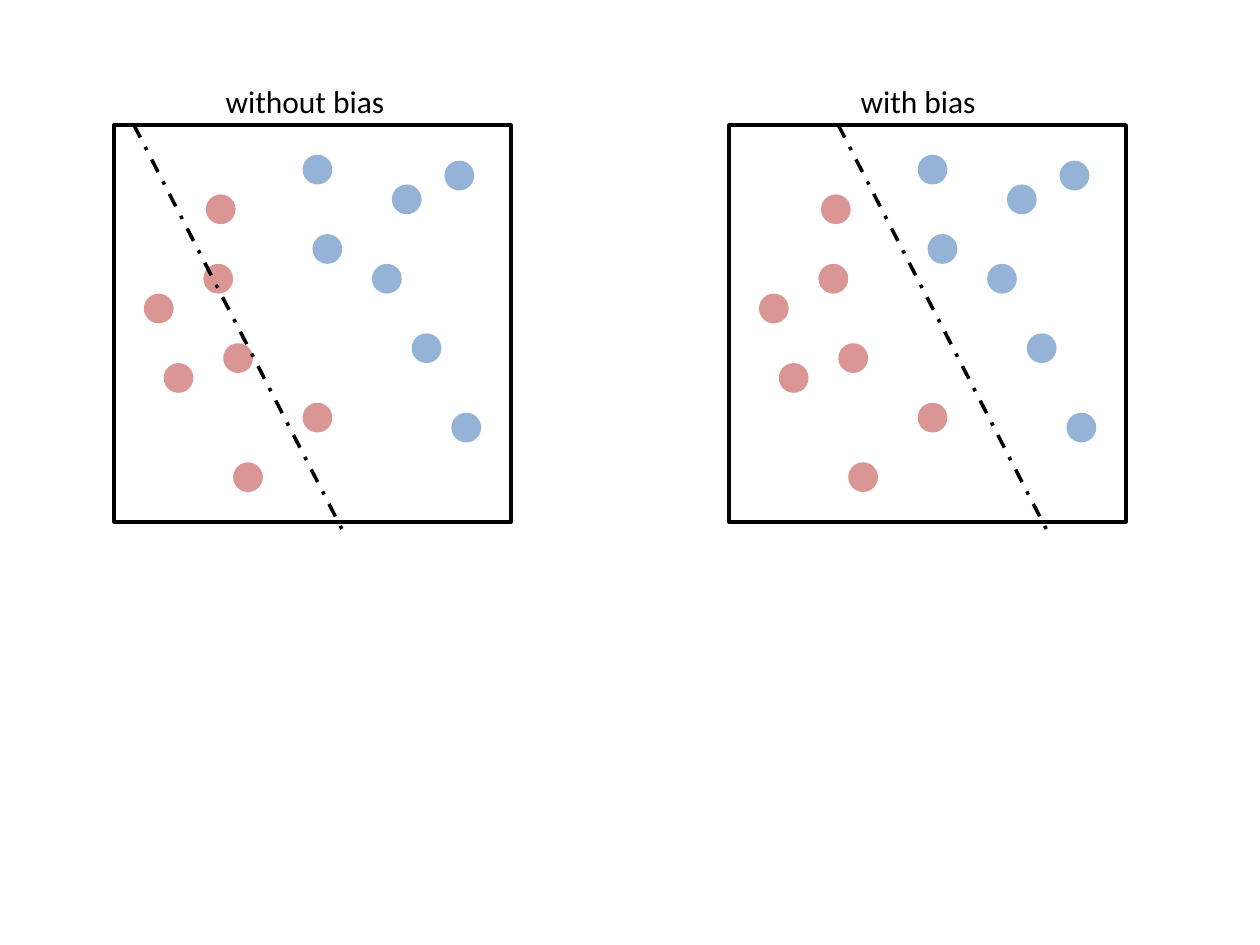
from lxml.etree import SubElement
from pptx import Presentation
from pptx.dml.color import RGBColor
from pptx.enum.dml import MSO_LINE
from pptx.enum.shapes import MSO_CONNECTOR, MSO_SHAPE
from pptx.enum.text import MSO_AUTO_SIZE
from pptx.oxml.ns import qn
from pptx.util import Cm, Pt

BLACK = RGBColor(0x00, 0x00, 0x00)
RED = RGBColor(0xD9, 0x96, 0x94)
BLUE = RGBColor(0x95, 0xB3, 0xD7)

SIDE = 8
DOT = 0.6
SAMPLES = {
    RED: [(1.8, 2.8), (3.8, 5.6), (2.2, 4.4), (0.6, 3.4),
          (2.4, 6.8), (1, 4.8), (1.85, 1.4)],
    BLUE: [(6.66, 0.72), (4, 2.2), (5.2, 2.8), (5.6, 1.2),
           (6, 4.2), (3.8, 0.6), (6.8, 5.8)],
}
CAPTION_FONT = {"name": "Calibri", "size": Pt(18)}
FRAME_LINE = {"width": Pt(2)}
BOUNDARY_LINE = {"width": Pt(2), "dash_style": MSO_LINE.DASH_DOT}


def apply_format(target, values):
    """Set each named format value on the target, and colour it black."""
    for name, value in values.items():
        setattr(target, name, value)
    target.color.rgb = BLACK


def add_frame(shapes, left, top):
    """Draw the square outline of a plot."""
    frame = shapes.add_shape(MSO_SHAPE.RECTANGLE, Cm(left), Cm(top), Cm(SIDE), Cm(SIDE))
    frame.shadow.inherit = False
    frame.fill.background()
    apply_format(frame.line, FRAME_LINE)


def add_caption(shapes, left, top, words):
    """Write the caption of a plot."""
    caption = shapes.add_textbox(Cm(left), Cm(top), Cm(4.2), Cm(1.02))
    caption.text_frame.word_wrap = True
    caption.text_frame.auto_size = MSO_AUTO_SIZE.SHAPE_TO_FIT_TEXT
    caption.text_frame.text = words
    apply_format(caption.text_frame.paragraphs[0].runs[0].font, CAPTION_FONT)


def add_samples(shapes, left, top):
    """Scatter the dots of both classes within a plot."""
    for colour, places in SAMPLES.items():
        for x, y in places:
            sample = shapes.add_shape(
                MSO_SHAPE.OVAL, Cm(left + x), Cm(top + y), Cm(DOT), Cm(DOT))
            sample.shadow.inherit = False
            sample.fill.solid()
            sample.fill.fore_color.rgb = colour
            sample.line.fill.background()


def add_boundary(shapes, left, top):
    """Draw the decision boundary down from its upper end."""
    boundary = shapes.add_connector(
        MSO_CONNECTOR.STRAIGHT, Cm(left), Cm(top), Cm(left + 4.22), Cm(top + 8.2))
    apply_format(boundary.line, BOUNDARY_LINE)
    SubElement(boundary.element.spPr, qn("a:effectLst"))


def add_plot(shapes, left, top, words, caption_x, boundary_x):
    """Build one captioned plot at the given corner."""
    add_frame(shapes, left, top)
    add_caption(shapes, left + caption_x, top - 1, words)
    add_samples(shapes, left, top)
    add_boundary(shapes, left + boundary_x, top)


def main():
    """Build the comparison slide and save it."""
    deck = Presentation()
    deck.slide_width, deck.slide_height = Cm(25.4), Cm(19.05)
    shapes = deck.slides.add_slide(deck.slide_layouts[6]).shapes
    add_plot(shapes, 2.3, 2.52, "without bias", caption_x=2, boundary_x=0.4)
    add_plot(shapes, 14.7, 2.52, "with bias", caption_x=2.4, boundary_x=2.2)
    deck.save("out.pptx")


if __name__ == "__main__":
    main()
